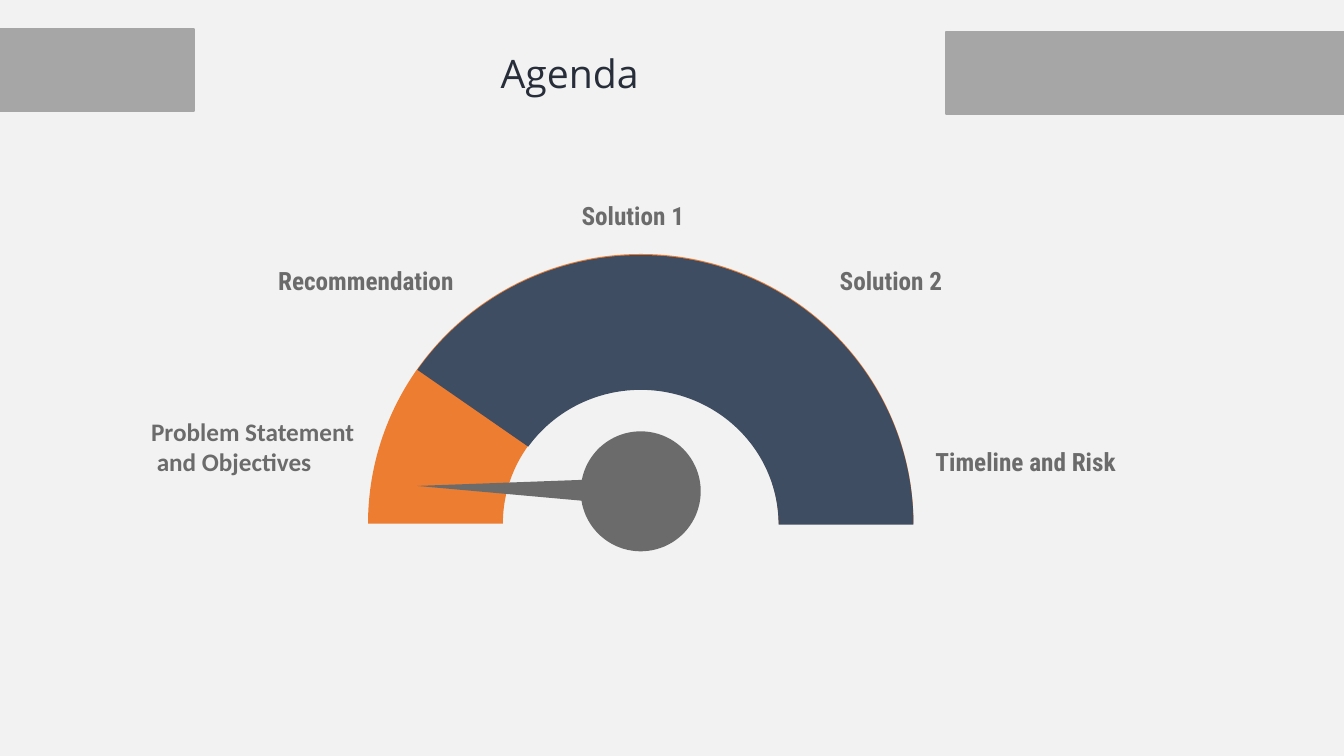
from math import cos, radians, sin

from pptx import Presentation
from pptx.dml.color import RGBColor
from pptx.enum.shapes import MSO_SHAPE
from pptx.enum.text import MSO_ANCHOR, MSO_AUTO_SIZE, PP_ALIGN
from pptx.util import Inches, Pt

RECT, ARC = MSO_SHAPE.RECTANGLE, MSO_SHAPE.BLOCK_ARC
MIDDLE, CENTER = MSO_ANCHOR.MIDDLE, PP_ALIGN.CENTER
GROW, FIXED = MSO_AUTO_SIZE.SHAPE_TO_FIT_TEXT, MSO_AUTO_SIZE.NONE
CELL = Inches(0.1)
COLS, ROWS = 133.3, 75
GRAY, ORANGE, NAVY, SILVER = "6B6B6B", "ED7D31", "3E4D62", "A6A6A6"


def paint(fill, color):
    fill.solid()
    fill.fore_color.rgb = RGBColor.from_string(color)


def grid(*cells):
    return [round(cell * CELL) for cell in cells]


def style(par, font, size, color, bold=False):
    par.font.name, par.font.size, par.font.bold = font, Pt(size), bold
    par.font.color.rgb = RGBColor.from_string(color)


def block(slide, kind, box, color):
    shape = slide.shapes.add_shape(kind, *grid(*box))
    shape.shadow.inherit = False
    paint(shape.fill, color)
    shape.line.fill.background()
    return shape


def header(slide, box):
    left, top, width, height = box
    start, end = left + 19.2, left + 93.8
    bars = [(left, top, start - left, height),
            (end, top + 0.3, left + width - end, height)]
    for bar in bars:
        shape = block(slide, RECT, bar, SILVER)
        paint(shape.line.fill, SILVER)
        shape.line.width = Pt(1.5)
    title = slide.shapes.title
    title.left, title.top, title.width, title.height = grid(
        start, top + 0.3, end - start, height)
    frame = title.text_frame
    frame.text = "Agenda"
    frame.auto_size = FIXED
    frame.vertical_anchor = MIDDLE
    frame.paragraphs[0].alignment = CENTER
    style(frame.paragraphs[0], "Open Sans", 28, "272E3A")


def needle(slide, box):
    left, top, width, height = box
    mid, hub, reach = left + 0.5 * width, top + 0.44 * height, 0.11 * width
    rim = [(mid + reach * cos(radians(turn)), hub + reach * sin(radians(turn)))
           for turn in range(191, 532, 4)]
    tip = (left + 0.09 * width, top + 0.43 * height)
    path = slide.shapes.build_freeform(*grid(*tip))
    path.add_line_segments([grid(*point) for point in rim], close=True)
    shape = path.convert_to_shape()
    shape.shadow.inherit = False
    paint(shape.fill, GRAY)
    shape.line.fill.background()


def gauge(slide, box):
    left, top, width, height = box
    block(slide, ARC, box, ORANGE)
    rest = block(slide, ARC, (left, top + 0.1, width, height), NAVY)
    rest.adjustments[0] = 128.84
    needle(slide, box)


def label(slide, box, text, font="Roboto Condensed"):
    frame = slide.shapes.add_textbox(*grid(*box)).text_frame
    frame.word_wrap = True
    frame.auto_size = GROW
    frame.text = text
    for par in frame.paragraphs:
        style(par, font, 18, GRAY, True)


def labels(slide, box):
    left, top, width, height = box
    label(slide, (left, top + 21.4, width, 10.1),
          "Problem Statement\n and Objectives", "Calibri")
    steps = [("Recommendation", 12.6, 6.4), ("Solution 1", 42.7, 0),
             ("Solution 2", 68.3, 6.4), ("Timeline and Risk", 77.8, 24.4)]
    for text, across, down in steps:
        label(slide, (left + across, top + down, width, height), text)


def main():
    deck = Presentation()
    deck.slide_width, deck.slide_height = grid(COLS, ROWS)
    slide = deck.slides.add_slide(deck.slide_layouts[5])
    paint(slide.background.fill, "F2F2F2")
    header(slide, (0, 2.9, COLS, 8.1))
    gauge(slide, (36.5, 25.2, 54.1, 53.5))
    labels(slide, (14, 19.4, 41.5, 4))
    deck.save("out.pptx")


if __name__ == "__main__":
    main()
